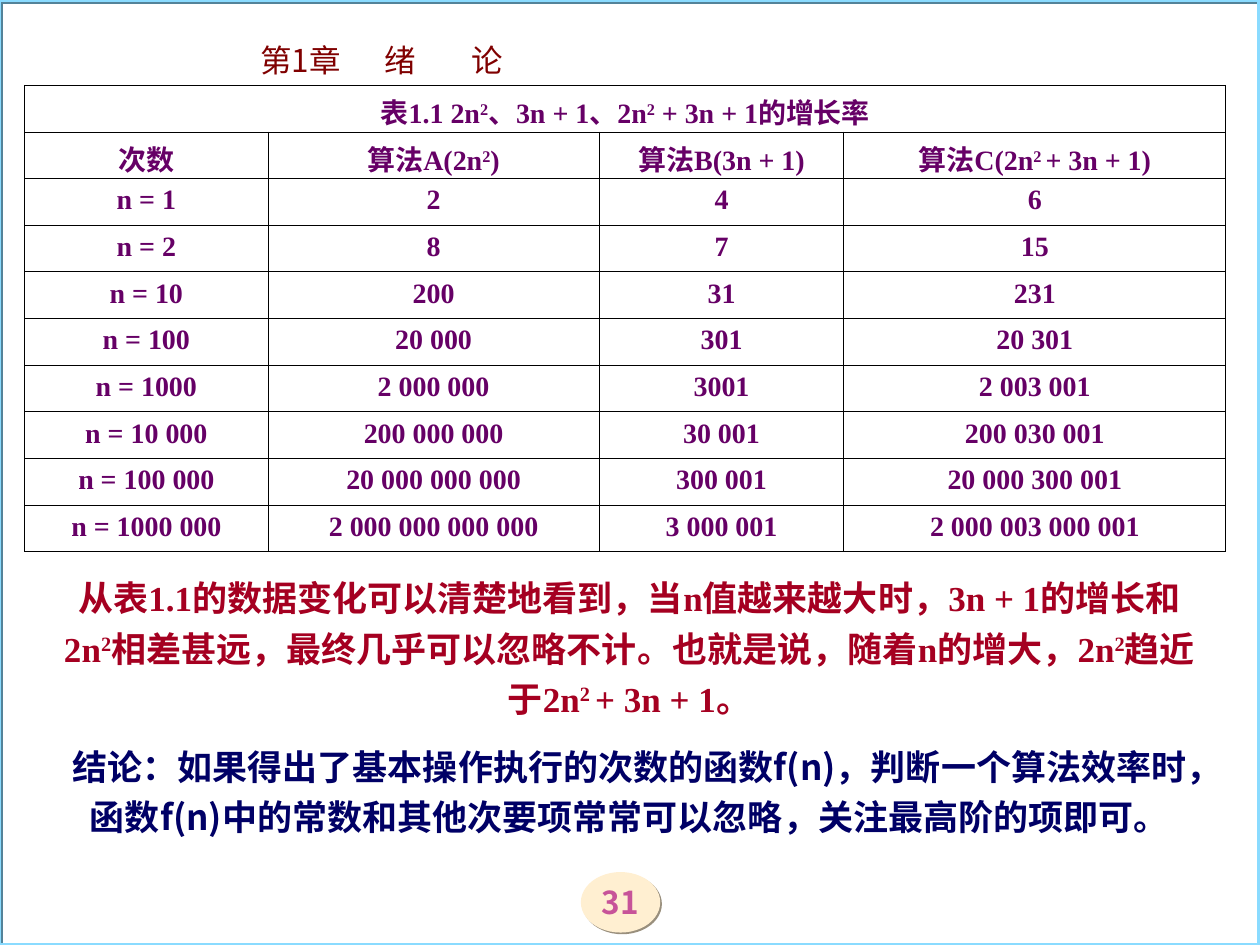
import pptx
import pptx.dml.color
import pptx.enum.shapes
import pptx.enum.text
import pptx.oxml
import pptx.oxml.ns
import pptx.util
from lxml import etree

Cm, Pt = pptx.util.Cm, pptx.util.Pt
RGBColor = pptx.dml.color.RGBColor
qn = pptx.oxml.ns.qn
SHAPE = pptx.enum.shapes.MSO_SHAPE
ANCHOR = pptx.enum.text.MSO_ANCHOR
CENTER = pptx.enum.text.PP_ALIGN.CENTER

BLACK = RGBColor(0x00, 0x00, 0x00)
MAROON = RGBColor(0x80, 0x00, 0x00)
PURPLE = RGBColor(0x66, 0x00, 0x66)
RED = RGBColor(0xA5, 0x00, 0x21)
NAVY = RGBColor(0x00, 0x00, 0x66)
PINK = RGBColor(0xC7, 0x53, 0x99)
CREAM = RGBColor(0xFF, 0xEF, 0xD1)
SAND = RGBColor(0x99, 0x8F, 0x7D)
SKY = RGBColor(0x8A, 0xDB, 0xFF)
STEEL = RGBColor(0x53, 0x83, 0x99)

SERIF = "Times New Roman"
SANS = "Noto Sans CJK SC"

# Text between two carets is superscript.
TABLE_TITLE = "表1.1 2n^2^、3n + 1、2n^2^ + 3n + 1的增长率"
TABLE_HEAD = ["次数", "算法A(2n^2^)", "算法B(3n + 1)", "算法C(2n^2 ^+ 3n + 1)"]
TABLE_ROWS = [
    ["n = 1", "2", "4", "6"],
    ["n = 2", "8", "7", "15"],
    ["n = 10", "200", "31", "231"],
    ["n = 100", "20 000", "301", "20 301"],
    ["n = 1000", "2 000 000", "3001", "2 003 001"],
    ["n = 10 000", "200 000 000", "30 001", "200 030 001"],
    ["n = 100 000", "20 000 000 000", "300 001", "20 000 300 001"],
    ["n = 1000 000", "2 000 000 000 000", "3 000 001", "2 000 003 000 001"],
]
COLUMN_WIDTHS = [4.9, 6.68, 4.93, 7.7]
ROW_HEIGHT = 0.94

OBSERVATION = (
    "从表1.1的数据变化可以清楚地看到，当n值越来越大时，3n + 1的增长和2n^2^"
    "相差甚远，最终几乎可以忽略不计。也就是说，随着n的增大，2n^2^"
    "趋近于2n^2 ^+ 3n + 1。"
)
CONCLUSION = (
    "结论：如果得出了基本操作执行的次数的函数f(n)，判断一个算法效率时，"
    "函数f(n)中的常数和其他次要项常常可以忽略，关注最高阶的项即可。"
)


def write(p, text, font, size, color, bold=True):
    """Fill a paragraph, raising the parts between carets."""
    for i, part in enumerate(text.split("^")):
        if part:
            r = p.add_run()
            r.text = part
            if i % 2:
                r.font._element.set("baseline", "30000")
    p.font.name, p.font.size, p.font.bold = font, Pt(size), bold
    p.font.color.rgb = color


def add_tab_stops(p, *stops):
    tabs = etree.SubElement(p._p.get_or_add_pPr(), qn("a:tabLst"))
    for stop in stops:
        etree.SubElement(tabs, qn("a:tab"), pos=str(Cm(stop)), algn="l")


def add_hard_shadow(s, color):
    effects = etree.SubElement(s._element.spPr, qn("a:effectLst"))
    shadow = etree.SubElement(effects, qn("a:outerShdw"), dist=str(Pt(1.4)),
                              dir="2700000", algn="ctr", rotWithShape="0")
    etree.SubElement(shadow, qn("a:srgbClr"), val=str(color))


def add_frame(slide):
    s = slide.shapes.add_shape(SHAPE.RECTANGLE, Cm(-0.02), 0, Cm(25.4), Cm(19.05))
    s.fill.background()
    s.line.color.rgb, s.line.width = SKY, Pt(2.25)
    add_hard_shadow(s, STEEL)


def add_page_number(slide, number):
    s = slide.shapes.add_shape(SHAPE.OVAL, Cm(11.71), Cm(17.58), Cm(1.6), Cm(1.22))
    s.fill.solid()
    s.fill.fore_color.rgb = CREAM
    s.line.fill.background()
    add_hard_shadow(s, SAND)
    tf = s.text_frame
    tf.margin_left = tf.margin_right = tf.margin_top = tf.margin_bottom = 0
    tf.vertical_anchor = ANCHOR.MIDDLE
    p = tf.paragraphs[0]
    p.alignment = CENTER
    write(p, number, SANS, 18, PINK)


def add_text_box(slide, left, top, width, height):
    """Return the first paragraph of a new wrapping text box."""
    tf = slide.shapes.add_textbox(Cm(left), Cm(top), Cm(width), Cm(height)).text_frame
    tf.word_wrap = True
    return tf.paragraphs[0]


def add_chapter_heading(slide):
    p = add_text_box(slide, 5, 0.7, 14.63, 1.02)
    add_tab_stops(p, 2.5, 4.25)
    write(p, "第1章\t绪\t论", "Noto Sans CJK JP", 18, MAROON, bold=False)


def add_statement(slide, top, height, text, font, color):
    p = add_text_box(slide, 0.89, top, 23.6, height)
    p._parent.vertical_anchor = ANCHOR.MIDDLE
    p.alignment, p.line_spacing = CENTER, 1.2
    write(p, text, font, 20, color)


def style_cell(cell):
    tcPr = cell._tc.get_or_add_tcPr()
    for side in ("a:lnL", "a:lnR", "a:lnT", "a:lnB"):
        line = etree.SubElement(tcPr, qn(side), w=str(Pt(0.45)))
        fill = etree.SubElement(line, qn("a:solidFill"))
        etree.SubElement(fill, qn("a:srgbClr"), val=str(BLACK))
    cell.fill.background()


def add_growth_table(slide):
    rows = [[TABLE_TITLE, "", "", ""], TABLE_HEAD, *TABLE_ROWS]
    table = slide.shapes.add_table(
        len(rows), len(COLUMN_WIDTHS), Cm(0.5), Cm(1.72),
        Cm(sum(COLUMN_WIDTHS)), Cm(ROW_HEIGHT * len(rows))).table
    table.first_row = table.horz_banding = False
    for column, width in zip(table.columns, COLUMN_WIDTHS):
        column.width = Cm(width)
    for i, row in enumerate(rows):
        table.rows[i].height = Cm(ROW_HEIGHT)
        for j, text in enumerate(row):
            cell = table.cell(i, j)
            style_cell(cell)
            p = cell.text_frame.paragraphs[0]
            p.alignment = CENTER
            write(p, text, SERIF, 16, PURPLE)
    table.cell(0, 0).merge(table.cell(0, len(COLUMN_WIDTHS) - 1))


def main():
    prs = pptx.Presentation()
    prs.slide_width, prs.slide_height = Cm(25.4), Cm(19.05)
    slide = prs.slides.add_slide(prs.slide_layouts[6])
    add_page_number(slide, "31")
    add_frame(slide)
    add_chapter_heading(slide)
    add_growth_table(slide)
    add_statement(slide, 11.33, 3.3, OBSERVATION, SERIF, RED)
    add_statement(slide, 14.73, 2.29, CONCLUSION, SANS, NAVY)
    prs.save("out.pptx")


if __name__ == "__main__":
    main()
